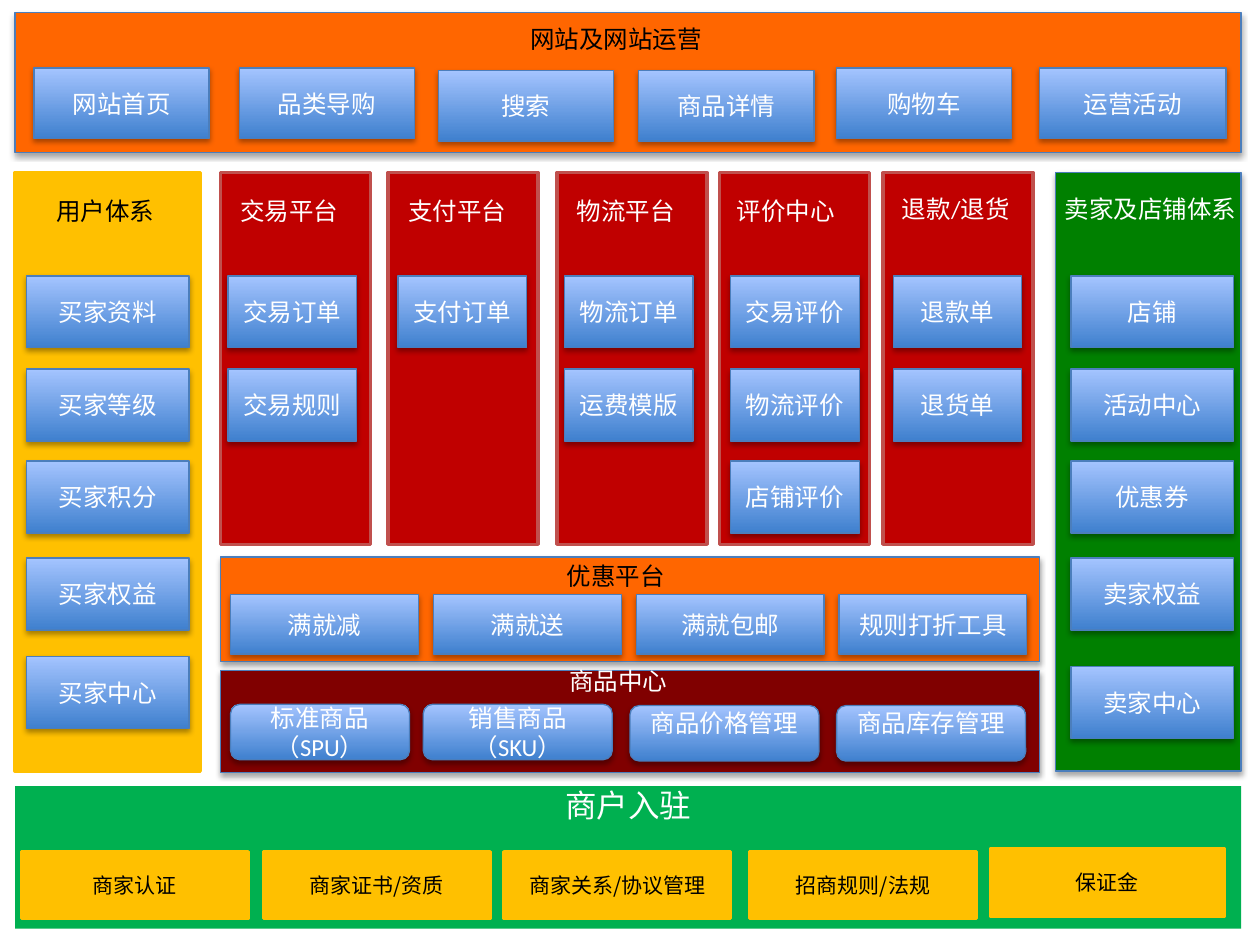
from lxml import etree
from pptx import Presentation
from pptx import util as u
from pptx.dml.color import RGBColor
from pptx.enum import shapes, text
from pptx.oxml import ns

WHITE = RGBColor(0xFF, 0xFF, 0xFF)
BLACK = RGBColor(0, 0, 0)
ORANGE = RGBColor(0xFF, 0x66, 0x00)
GOLD = RGBColor(0xFF, 0xC0, 0x00)
RED = RGBColor(0xC0, 0x00, 0x00)
ROSE = RGBColor(0xC0, 0x50, 0x4D)
MAROON = RGBColor(0x80, 0x00, 0x00)
GREEN = RGBColor(0x00, 0x80, 0x00)
JADE = RGBColor(0x00, 0xB0, 0x50)
BLUE = RGBColor(0x4B, 0x7E, 0xBC)
DEEP = RGBColor(0x3F, 0x80, 0xCE)
PALE = RGBColor(0xA4, 0xC4, 0xFF)

LATIN = "Calibri"
HAN = "Noto Sans CJK SC"
RECT = shapes.MSO_SHAPE.RECTANGLE
ROUND = shapes.MSO_SHAPE.ROUNDED_RECTANGLE
MID = text.MSO_ANCHOR.MIDDLE
TOP = text.MSO_ANCHOR.TOP
ROWS = (0.82, 1.56, 2.29, 3.06, 3.84)


def write(shape, words, color, size=14, font=LATIN, center=True):
    """Fill a shape with one paragraph for each line of words."""
    frame = shape.text_frame
    frame.word_wrap = True
    for i, line in enumerate(words.split("\n")):
        para = frame.add_paragraph() if i else frame.paragraphs[0]
        if center:
            para.alignment = text.PP_ALIGN.CENTER
        run = para.add_run()
        run.text = line
        run.font.size = u.Pt(size)
        run.font.name = font
        run.font.color.rgb = color


def shade(shape):
    """Give a shape a soft shadow straight below it."""
    effects = shape._element.spPr.find(ns.qn("a:effectLst"))
    outer = etree.SubElement(effects, ns.qn("a:outerShdw"), blurRad="40000",
                             dist="23000", dir="5400000", rotWithShape="0")
    tint = etree.SubElement(outer, ns.qn("a:srgbClr"), val="000000")
    etree.SubElement(tint, ns.qn("a:alpha"), val="35000")


def block(slide, box, fill, line=BLUE, width=0.75, kind=RECT):
    """Draw one shape; fill None means the blue gradient, line None no line."""
    shape = slide.shapes.add_shape(kind, *map(u.Inches, box))
    shape.shadow.inherit = False
    if fill is None:
        shape.fill.gradient()
        shape.fill.gradient_angle = 90
        for stop, color in zip(shape.fill.gradient_stops, (DEEP, PALE)):
            stop.color.rgb = color
    else:
        shape.fill.solid()
        shape.fill.fore_color.rgb = fill
    if line is None:
        shape.line.fill.background()
    else:
        shape.line.color.rgb = line
        shape.line.width = u.Pt(width)
    if line == BLUE:
        shade(shape)
    return shape


def title(slide, box, words, color, center=False):
    """Place a heading."""
    label = slide.shapes.add_textbox(*map(u.Inches, box))
    write(label, words, color, center=center)


def tile(slide, box, words, kind=RECT, anchor=MID):
    """Draw a blue tile with white words."""
    shape = block(slide, box, None, kind=kind)
    shape.text_frame.vertical_anchor = anchor
    if anchor == TOP:
        shape.text_frame.margin_top = 0
    write(shape, words, WHITE)


def band(slide, box, fill, head, color, spot, tiles, kind=RECT):
    """Draw a wide band: heading at spot, tiles as (words, dx, dy, w, h, anchor)."""
    left, top = box[:2]
    block(slide, box, fill)
    dx, dy, width = spot
    title(slide, (left + dx, top + dy, width, 0.34), head, color)
    for words, dx, dy, width, high, anchor in tiles:
        tile(slide, (left + dx, top + dy, width, high), words, kind, anchor)


def column(slide, box, style, head, color, spot, dx, width, names, rows=ROWS,
           center=False):
    """Draw a tall column with a heading and tiles going down the rows."""
    left, top = box[:2]
    block(slide, box, *style)
    title(slide, (left + spot[0], top + spot[1], spot[2], 0.34), head, color, center)
    for words, dy in zip(names, rows):
        tile(slide, (left + dx, top + dy, width, 0.57), words)


def entry(slide, box):
    """Draw the merchant entry band with its gold cards."""
    left, top = box[:2]
    base = block(slide, box, JADE, None)
    base.text_frame.vertical_anchor = TOP
    base.text_frame.margin_top = 0
    write(base, "商户入驻", WHITE, 18, HAN)
    cards = (("商家认证", 0.05, 0.52, 1.8), ("商家证书/资质", 1.97, 0.52, 1.8),
             ("商家关系/协议管理", 3.88, 0.52, 1.8),
             ("招商规则/法规", 5.83, 0.52, 1.8), ("保证金", 7.74, 0.5, 1.86))
    for words, dx, dy, width in cards:
        card = block(slide, (left + dx, top + dy, width, 0.53), GOLD, GOLD, 2)
        card.text_frame.vertical_anchor = MID
        write(card, words, BLACK, 12, HAN)


def main():
    """Build the slide."""
    deck = Presentation()
    deck.slide_width, deck.slide_height = u.Inches(10), u.Inches(7.5)
    slide = deck.slides.add_slide(deck.slide_layouts[6])

    entry(slide, (0.12, 6.24, 9.73, 1.13))

    column(slide, (0.12, 1.37, 1.47, 4.75), (GOLD, GOLD, 2), "用户体系", BLACK,
           (0.07, 0.14, 1.29), 0.09, 1.29,
           ("买家资料", "买家等级", "买家积分", "买家权益", "买家中心"), center=True)
    column(slide, (8.38, 1.37, 1.47, 4.75), (GREEN,), "卖家及店铺体系", WHITE,
           (-0.03, 0.12, 1.62), 0.12, 1.29,
           ("店铺", "活动中心", "优惠券", "卖家权益", "卖家中心"),
           ROWS[:4] + (3.92,))

    stages = (
        (1.75, "交易平台", (0.06, 0.14, 1.13), 0.06, ("交易订单", "交易规则")),
        (3.08, "支付平台", (0.06, 0.14, 1.13), 0.08, ("支付订单",)),
        (4.42, "物流平台", (0.06, 0.14, 1.13), 0.06, ("物流订单", "运费模版")),
        (5.71, "评价中心", (0.04, 0.14, 1.19), 0.09,
         ("交易评价", "物流评价", "店铺评价")),
        (7.01, "退款/退货", (0.05, 0.12, 1.19), 0.08, ("退款单", "退货单")),
    )
    for left, head, spot, dx, names in stages:
        column(slide, (left, 1.37, 1.19, 2.95), (RED, ROSE, 2), head, WHITE,
               spot, dx, 1.02, names)

    pages = (("网站首页", 0.15, 0.44, 1.39), ("品类导购", 1.78, 0.44, 1.39),
             ("搜索", 3.36, 0.46, 1.39), ("商品详情", 4.95, 0.46, 1.39),
             ("购物车", 6.52, 0.44, 1.39), ("运营活动", 8.13, 0.44, 1.48))
    band(slide, (0.12, 0.1, 9.73, 1.11), ORANGE, "网站及网站运营", BLACK,
         (3.99, 0.04, 1.97), [page + (0.56, MID) for page in pages])

    deals = ("满就减", "满就送", "满就包邮", "规则打折工具")
    band(slide, (1.75, 4.42, 6.5, 0.83), ORANGE, "优惠平台", BLACK,
         (2.65, -0.02, 1.1),
         [(deal, 0.08 + 1.61 * i, 0.3, 1.49, 0.47, MID)
          for i, deal in enumerate(deals)])

    goods = (("标准商品（SPU）", 0.08, 0.27, 1.42, 0.44, MID),
             ("销售商品\n（SKU）", 1.61, 0.27, 1.5, 0.44, MID),
             ("商品价格管理", 3.25, 0.28, 1.5, 0.44, TOP),
             ("商品库存管理", 4.89, 0.28, 1.5, 0.44, TOP))
    band(slide, (1.75, 5.32, 6.5, 0.81), MAROON, "商品中心", WHITE,
         (2.67, -0.08, 1.16), goods, ROUND)

    deck.save("out.pptx")


main()
